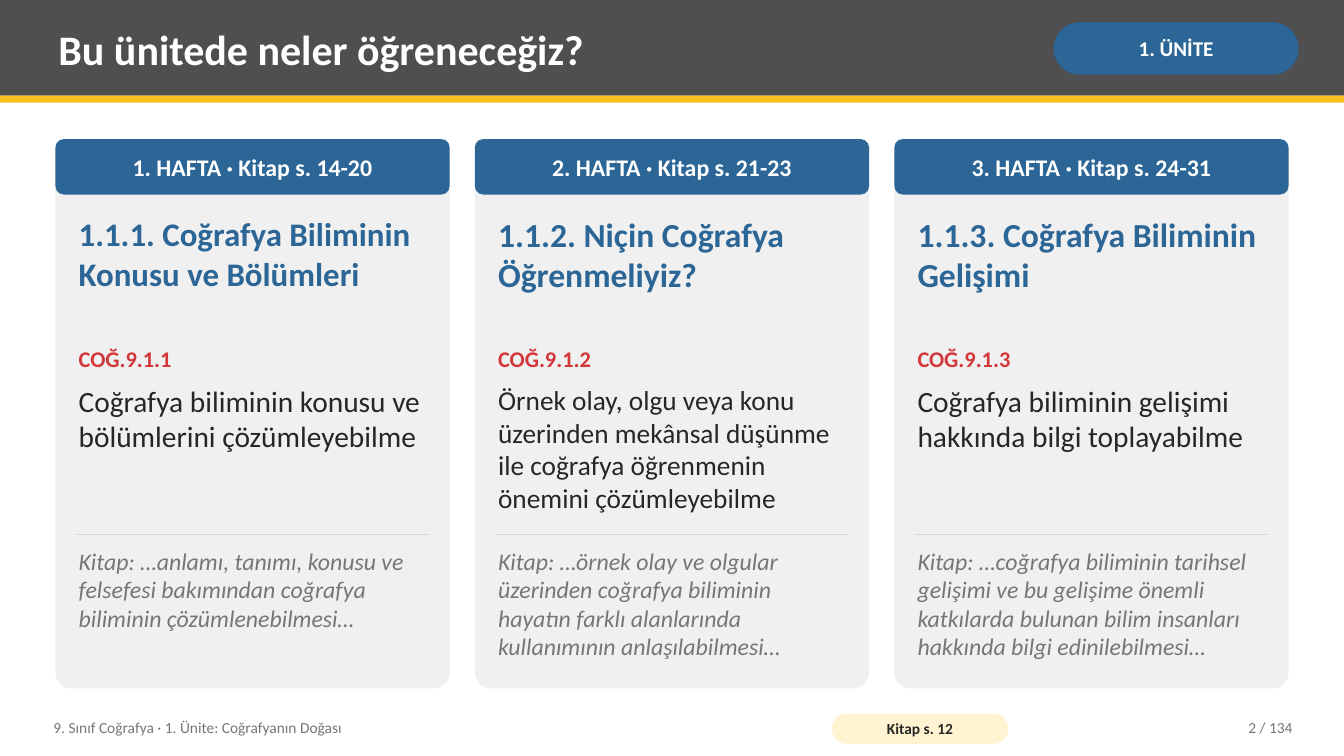
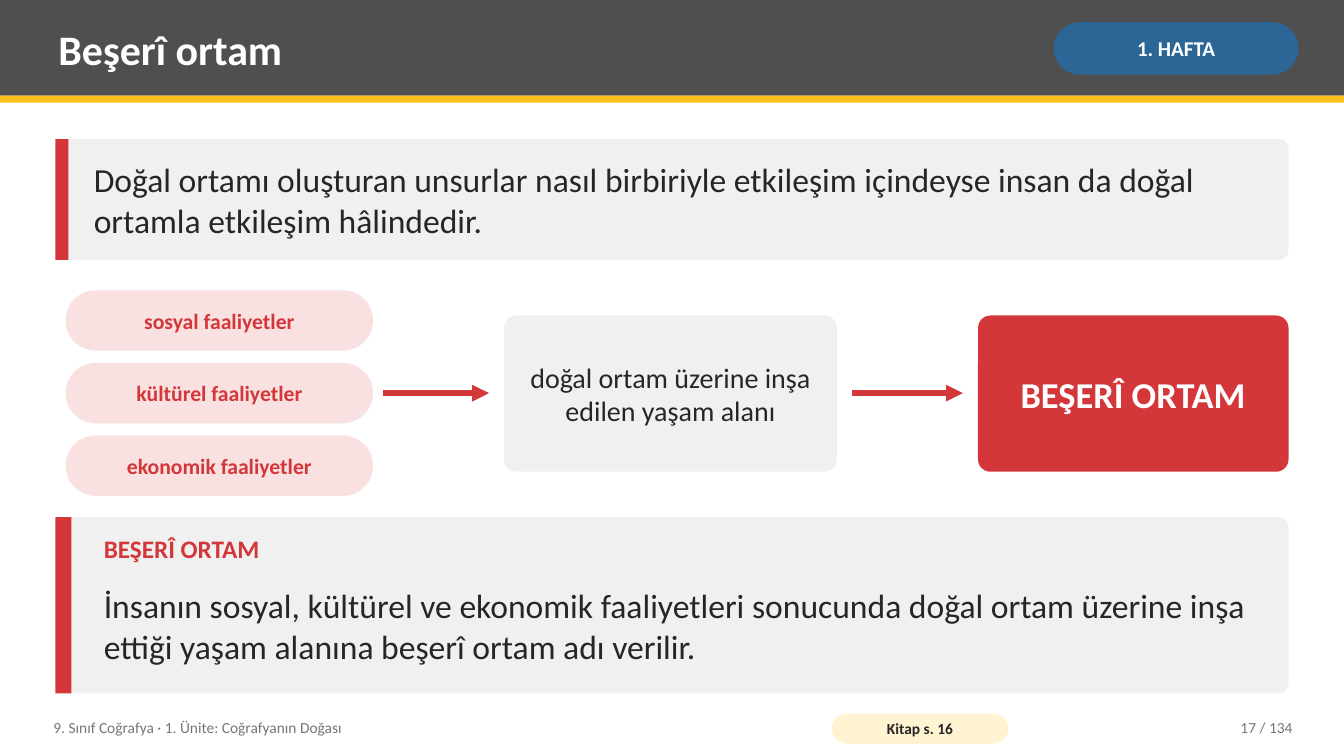
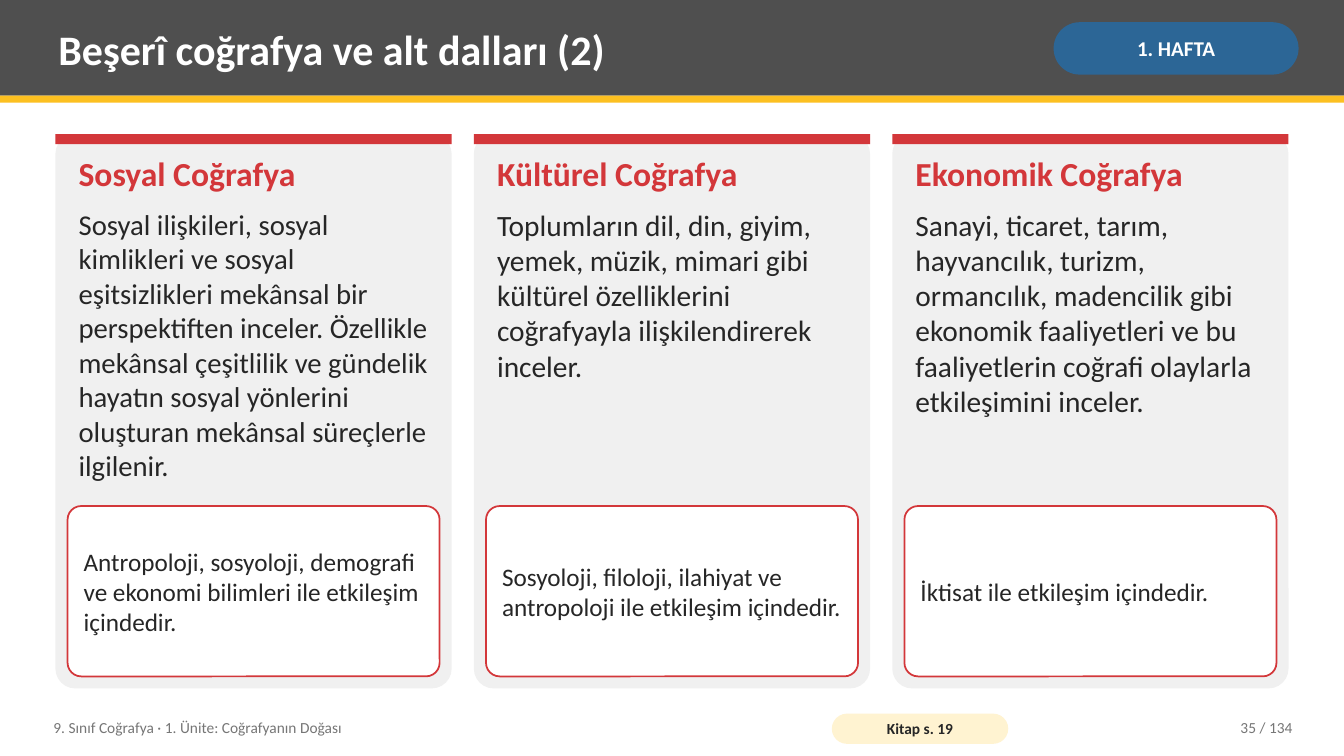
from dataclasses import dataclass

from lxml import etree
from pptx import Presentation
from pptx.dml.color import RGBColor
from pptx.enum.shapes import MSO_CONNECTOR, MSO_SHAPE
from pptx.enum.text import MSO_ANCHOR, PP_ALIGN
from pptx.oxml.ns import qn
from pptx.slide import Slide
from pptx.util import Inches, Pt

RECT, ROUND = MSO_SHAPE.RECTANGLE, MSO_SHAPE.ROUNDED_RECTANGLE
LINE = MSO_CONNECTOR.STRAIGHT
TOP, MIDDLE = MSO_ANCHOR.TOP, MSO_ANCHOR.MIDDLE
LEFT, CENTER, RIGHT = PP_ALIGN.LEFT, PP_ALIGN.CENTER, PP_ALIGN.RIGHT

# Theme
FONT = "Calibri"
WHITE, DARK, GREY, RULE = "FFFFFF", "262626", "767676", "D9D9D9"
BAND, GOLD, CREAM = "4F4F4F", "FCC021", "FFF3D1"
BLUE, RED, PINK, PANEL = "2C6696", "D3373A", "F9E1E1", "F0F0F0"
WIDTH, HEIGHT = 13.33, 7.5
EDGE, SPAN = 0.55, 12.23
COUNT = 134
FOOTER = "9. Sınıf Coğrafya · 1. Ünite: Coğrafyanın Doğası"
PAD, ROOMY = (0.08, 0.04), (0.14, 0.08)

Area = tuple[float, float, float, float]
Point = tuple[float, float]


@dataclass
class Style:
    size: float
    color: str = DARK
    bold: bool = False
    italic: bool = False
    align: PP_ALIGN = LEFT
    anchor: MSO_ANCHOR = TOP
    pad: Point = PAD


@dataclass
class Page:
    title: str
    badge: str
    source: str
    number: int


@dataclass
class Week:
    head: str
    topic: str
    topic_size: float
    code: str
    goal: str
    goal_size: float
    quote: str


@dataclass
class Branch:
    name: str
    body: str
    size: float
    links: str


# Drawing helpers
def rgb(color: str) -> RGBColor:
    return RGBColor.from_string(color)


def write(shape, text: str, style: Style) -> None:
    frame = shape.text_frame
    frame.word_wrap = True
    frame.vertical_anchor = style.anchor
    across, down = style.pad
    frame.margin_left = frame.margin_right = Inches(across)
    frame.margin_top = frame.margin_bottom = Inches(down)
    frame.text = text
    para = frame.paragraphs[0]
    para.alignment = style.align
    font = para.runs[0].font
    font.name, font.size = FONT, Pt(style.size)
    font.bold, font.italic = style.bold, style.italic
    font.color.rgb = rgb(style.color)


def label(slide: Slide, area: Area, text: str, style: Style) -> None:
    write(slide.shapes.add_textbox(*map(Inches, area)), text, style)


def block(slide: Slide, area: Area, fill: str, curve: float = 0, text: str = "",
          style: Style | None = None, border: str = "") -> None:
    shape = slide.shapes.add_shape(ROUND if curve else RECT, *map(Inches, area))
    shape.shadow.inherit = False
    if curve:
        shape.adjustments[0] = curve
    shape.fill.solid()
    shape.fill.fore_color.rgb = rgb(fill)
    if border:
        shape.line.color.rgb = rgb(border)
        shape.line.width = Pt(1.25)
    else:
        shape.line.fill.background()
    if style:
        write(shape, text, style)


def stroke(slide: Slide, start: Point, end: Point, color: str, width: float,
           arrow: bool = False) -> None:
    line = slide.shapes.add_connector(LINE, *map(Inches, start + end))
    line.line.color.rgb = rgb(color)
    line.line.width = Pt(width)
    if arrow:
        tip = etree.SubElement(line.line._get_or_add_ln(), qn("a:tailEnd"))
        tip.set("type", "triangle")
    etree.SubElement(line._element.spPr, qn("a:effectLst"))


def columns(width: float, count: int = 3) -> list[float]:
    """Left edges of equal columns that fill the content span."""
    step = (SPAN - width) / (count - 1)
    return [round(EDGE + i * step, 2) for i in range(count)]


def panel(slide: Slide, top: float, height: float, bar: float, curve: float) -> None:
    block(slide, (EDGE, top, SPAN, height), PANEL, curve)
    block(slide, (EDGE, top, bar, height), RED)


# Shared frame: title band, badge and footer
def frame_page(deck, page: Page) -> Slide:
    slide = deck.slides.add_slide(deck.slide_layouts[6])
    block(slide, (0, 0, WIDTH, 0.95), BAND)
    block(slide, (0, 0.95, WIDTH, 0.07), GOLD)
    label(slide, (0.5, 0.07, 9.75, 0.82), page.title,
          Style(30, WHITE, bold=True, anchor=MIDDLE))
    block(slide, (10.45, 0.22, 2.43, 0.52), BLUE, 0.5, page.badge,
          Style(15, WHITE, bold=True, align=CENTER, anchor=MIDDLE, pad=(0.05, 0.02)))
    label(slide, (0.45, 7.04, 7.6, 0.36), FOOTER, Style(11, GREY, anchor=MIDDLE))
    block(slide, (8.25, 7.08, 1.75, 0.3), CREAM, 0.5, page.source,
          Style(11, bold=True, align=CENTER, anchor=MIDDLE, pad=(0.04, 0)))
    label(slide, (11.3, 7.04, 1.6, 0.36), f"{page.number} / {COUNT}",
          Style(11, GREY, align=RIGHT, anchor=MIDDLE))
    return slide


# Slide 1: one card per week
WEEKS = [
    Week("1. HAFTA · Kitap s. 14-20",
         "1.1.1. Coğrafya Biliminin Konusu ve Bölümleri", 23.5, "COĞ.9.1.1",
         "Coğrafya biliminin konusu ve bölümlerini çözümleyebilme", 21,
         "Kitap: …anlamı, tanımı, konusu ve felsefesi bakımından coğrafya "
         "biliminin çözümlenebilmesi…"),
    Week("2. HAFTA · Kitap s. 21-23",
         "1.1.2. Niçin Coğrafya Öğrenmeliyiz?", 24, "COĞ.9.1.2",
         "Örnek olay, olgu veya konu üzerinden mekânsal düşünme ile coğrafya "
         "öğrenmenin önemini çözümleyebilme", 19.5,
         "Kitap: …örnek olay ve olgular üzerinden coğrafya biliminin hayatın "
         "farklı alanlarında kullanımının anlaşılabilmesi…"),
    Week("3. HAFTA · Kitap s. 24-31",
         "1.1.3. Coğrafya Biliminin Gelişimi", 24, "COĞ.9.1.3",
         "Coğrafya biliminin gelişimi hakkında bilgi toplayabilme", 21,
         "Kitap: …coğrafya biliminin tarihsel gelişimi ve bu gelişime önemli "
         "katkılarda bulunan bilim insanları hakkında bilgi edinilebilmesi…"),
]


def draw_weeks(deck) -> None:
    slide = frame_page(deck, Page("Bu ünitede neler öğreneceğiz?", "1. ÜNİTE",
                                  "Kitap s. 12", 2))
    width = 3.91
    for left, week in zip(columns(width), WEEKS):
        block(slide, (left, 1.38, width, 5.45), PANEL, 0.04)
        block(slide, (left, 1.38, width, 0.55), BLUE, 0.15, week.head,
              Style(17, WHITE, bold=True, align=CENTER, anchor=MIDDLE, pad=ROOMY))
        rows = [
            (2.08, 1.25, week.topic, Style(week.topic_size, BLUE, bold=True)),
            (3.38, 0.4, week.code, Style(16, RED, bold=True)),
            (3.76, 1.45, week.goal, Style(week.goal_size)),
            (5.38, 1.35, week.quote, Style(17, GREY, italic=True)),
        ]
        for top, height, text, style in rows:
            label(slide, (left + 0.15, top, width - 0.3, height), text, style)
        stroke(slide, (left + 0.2, 5.3), (left + width - 0.2, 5.3), RULE, 1)


# Slide 2: from activities to the human environment
def draw_flow(deck) -> None:
    slide = frame_page(deck, Page("Beşerî ortam", "1. HAFTA", "Kitap s. 16", 17))
    panel(slide, 1.38, 1.2, 0.13, 0.08)
    label(slide, (0.85, 1.38, 11.78, 1.2),
          "Doğal ortamı oluşturan unsurlar nasıl birbiriyle etkileşim içindeyse "
          "insan da doğal ortamla etkileşim hâlindedir.", Style(24, anchor=MIDDLE))

    pill = Style(15.5, RED, bold=True, align=CENTER, anchor=MIDDLE, pad=ROOMY)
    for i, kind in enumerate(["sosyal", "kültürel", "ekonomik"]):
        block(slide, (0.65, 2.88 + i * 0.72, 3.05, 0.6), PINK, 0.5,
              f"{kind} faaliyetler", pill)
    for start, end in [(3.8, 4.85), (8.45, 9.55)]:
        stroke(slide, (start, 3.9), (end, 3.9), RED, 4, arrow=True)
    block(slide, (5, 3.13, 3.3, 1.55), PANEL, 0.08,
          "doğal ortam üzerine inşa edilen yaşam alanı",
          Style(20, align=CENTER, anchor=MIDDLE, pad=ROOMY))
    block(slide, (9.7, 3.13, 3.08, 1.55), RED, 0.08, "BEŞERÎ ORTAM",
          Style(26, WHITE, bold=True, align=CENTER, anchor=MIDDLE, pad=ROOMY))

    panel(slide, 5.13, 1.75, 0.16, 0.06)
    label(slide, (0.95, 5.25, 11.63, 0.45), "BEŞERÎ ORTAM", Style(18, RED, bold=True))
    label(slide, (0.95, 5.68, 11.63, 1.05),
          "İnsanın sosyal, kültürel ve ekonomik faaliyetleri sonucunda doğal ortam "
          "üzerine inşa ettiği yaşam alanına beşerî ortam adı verilir.",
          Style(24, anchor=MIDDLE))


# Slide 3: one card per branch
BRANCHES = [
    Branch("Sosyal Coğrafya",
           "Sosyal ilişkileri, sosyal kimlikleri ve sosyal eşitsizlikleri mekânsal "
           "bir perspektiften inceler. Özellikle mekânsal çeşitlilik ve gündelik "
           "hayatın sosyal yönlerini oluşturan mekânsal süreçlerle ilgilenir.", 20.5,
           "Antropoloji, sosyoloji, demografi ve ekonomi bilimleri ile etkileşim "
           "içindedir."),
    Branch("Kültürel Coğrafya",
           "Toplumların dil, din, giyim, yemek, müzik, mimari gibi kültürel "
           "özelliklerini coğrafyayla ilişkilendirerek inceler.", 21,
           "Sosyoloji, filoloji, ilahiyat ve antropoloji ile etkileşim içindedir."),
    Branch("Ekonomik Coğrafya",
           "Sanayi, ticaret, tarım, hayvancılık, turizm, ormancılık, madencilik gibi "
           "ekonomik faaliyetleri ve bu faaliyetlerin coğrafi olaylarla etkileşimini "
           "inceler.", 21,
           "İktisat ile etkileşim içindedir."),
]


def draw_branches(deck) -> None:
    slide = frame_page(deck, Page("Beşerî coğrafya ve alt dalları (2)", "1. HAFTA",
                                  "Kitap s. 19", 35))
    width = 3.93
    for left, branch in zip(columns(width), BRANCHES):
        block(slide, (left, 1.33, width, 5.5), PANEL, 0.05)
        block(slide, (left, 1.33, width, 0.1), RED)
        label(slide, (left + 0.15, 1.48, width - 0.3, 0.55), branch.name,
              Style(24, RED, bold=True))
        label(slide, (left + 0.15, 2.01, width - 0.3, 2.91), branch.body,
              Style(branch.size))
        block(slide, (left + 0.12, 5.02, width - 0.24, 1.69), WHITE, 0.08,
              branch.links, Style(18, anchor=MIDDLE, pad=(0.12, 0.08)), border=RED)


def main() -> None:
    deck = Presentation()
    deck.slide_width, deck.slide_height = Inches(WIDTH), Inches(HEIGHT)
    draw_weeks(deck)
    draw_flow(deck)
    draw_branches(deck)
    deck.save("out.pptx")


if __name__ == "__main__":
    main()
